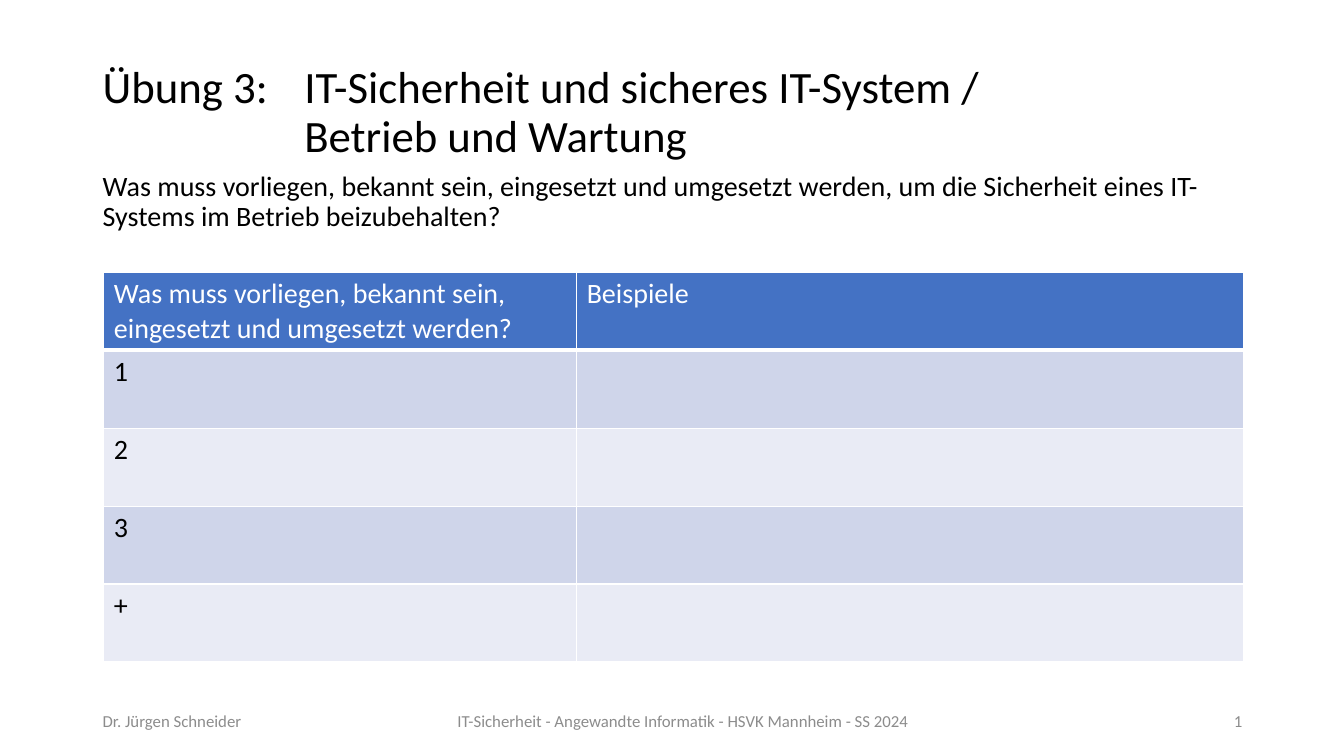
from dataclasses import dataclass

import pptx
import pptx.dml.color
import pptx.enum.text
import pptx.oxml
import pptx.oxml.ns
import pptx.util
from pptx.util import Inches

ALIGN = pptx.enum.text.PP_ALIGN
ANCHOR = pptx.enum.text.MSO_ANCHOR


@dataclass(frozen=True)
class Theme:
    font: str = "Calibri"
    ink: str = "000000"
    paper: str = "FFFFFF"
    muted: str = "8C8C8C"
    header: str = "4472C4"
    bands: tuple = ("CFD5EA", "E9EBF5")
    title_size: int = 32
    body_size: int = 20
    footer_size: int = 12
    grid_line: int = 1
    header_line: int = 3


class SlideBuilder:
    def __init__(self, slide, theme):
        self.slide = slide
        self.theme = theme

    def add_run(self, paragraph, wording, size, color):
        run = paragraph.add_run()
        run.text = wording
        run.font.name = self.theme.font
        run.font.size = pptx.util.Pt(size)
        run.font.color.rgb = pptx.dml.color.RGBColor.from_string(color)

    def text(self, box, lines, size, color, align=ALIGN.LEFT, anchor=ANCHOR.MIDDLE):
        frame = self.slide.shapes.add_textbox(*map(Inches, box)).text_frame
        frame.word_wrap = True
        frame.vertical_anchor = anchor
        paragraph = frame.paragraphs[0]
        paragraph.alignment = align
        for index, line in enumerate(lines):
            if index:
                paragraph.add_line_break()
            self.add_run(paragraph, line, size, color)
        return paragraph

    def title(self, box, lines, hanging):
        paragraph = self.text(box, lines, self.theme.title_size, self.theme.ink)
        paragraph.line_spacing = 0.9
        properties = paragraph._p.get_or_add_pPr()
        properties.set("marL", str(Inches(hanging)))
        properties.set("indent", str(-Inches(hanging)))

    def body(self, box, wording):
        paragraph = self.text(box, [wording], self.theme.body_size,
                              self.theme.ink, anchor=ANCHOR.TOP)
        paragraph.line_spacing = 0.9
        paragraph.space_before = pptx.util.Pt(10)

    def footer(self, left, width, wording, align):
        self.text((left, 6.95, width, 0.4), [wording],
                  self.theme.footer_size, self.theme.muted, align)

    def borders(self, cell, widths):
        properties = cell._tc.get_or_add_tcPr()
        namespace = pptx.oxml.ns.nsdecls("a")
        for position, (side, points) in enumerate(widths.items()):
            properties.insert(position, pptx.oxml.parse_xml(
                f'<a:{side} {namespace} w="{pptx.util.Pt(points)}"><a:solidFill>'
                f'<a:srgbClr val="{self.theme.paper}"/></a:solidFill></a:{side}>'))

    def table(self, box, column_widths, rows):
        theme = self.theme
        table = self.slide.shapes.add_table(
            len(rows), len(column_widths), *map(Inches, box)).table
        for column, width in zip(table.columns, column_widths):
            column.width = Inches(width)
        for row_index, row in enumerate(rows):
            is_header = row_index == 0
            fill = theme.header if is_header else theme.bands[(row_index - 1) % 2]
            color = theme.paper if is_header else theme.ink
            top = theme.header_line if row_index == 1 else theme.grid_line
            bottom = theme.header_line if is_header else theme.grid_line
            for column_index, wording in enumerate(row):
                cell = table.cell(row_index, column_index)
                cell.fill.solid()
                cell.fill.fore_color.rgb = pptx.dml.color.RGBColor.from_string(fill)
                self.borders(cell, {"lnL": theme.grid_line, "lnR": theme.grid_line,
                                    "lnT": top, "lnB": bottom})
                paragraph = cell.text_frame.paragraphs[0]
                paragraph.font.size = pptx.util.Pt(theme.body_size)
                paragraph.font.bold = False
                if wording:
                    self.add_run(paragraph, wording, theme.body_size, color)


def main():
    presentation = pptx.Presentation()
    presentation.slide_width = Inches(13.33)
    presentation.slide_height = Inches(7.5)
    exercise = SlideBuilder(
        presentation.slides.add_slide(presentation.slide_layouts[6]), Theme())

    exercise.title((0.92, 0.4, 11.5, 1.45),
                   ["Übung 3:\tIT-Sicherheit und sicheres IT-System /",
                    "Betrieb und Wartung"], hanging=2)
    exercise.body((0.92, 1.66, 11.5, 4.76),
                  "Was muss vorliegen, bekannt sein, eingesetzt und umgesetzt werden, "
                  "um die Sicherheit eines IT-Systems im Betrieb beizubehalten?")

    headings = ("Was muss vorliegen, bekannt sein, eingesetzt und umgesetzt werden?",
                "Beispiele")
    answers = [(label, "") for label in "123+"]
    exercise.table((1.03, 2.7, 11.3, 3.87), (4.69, 6.61), [headings, *answers])

    exercise.footer(3.59, 6.37,
                    "IT-Sicherheit - Angewandte Informatik - HSVK Mannheim - SS 2024",
                    ALIGN.CENTER)
    exercise.footer(0.92, 3, "Dr. Jürgen Schneider", ALIGN.LEFT)
    exercise.footer(9.42, 3, "1", ALIGN.RIGHT)
    presentation.save("out.pptx")


if __name__ == "__main__":
    main()
